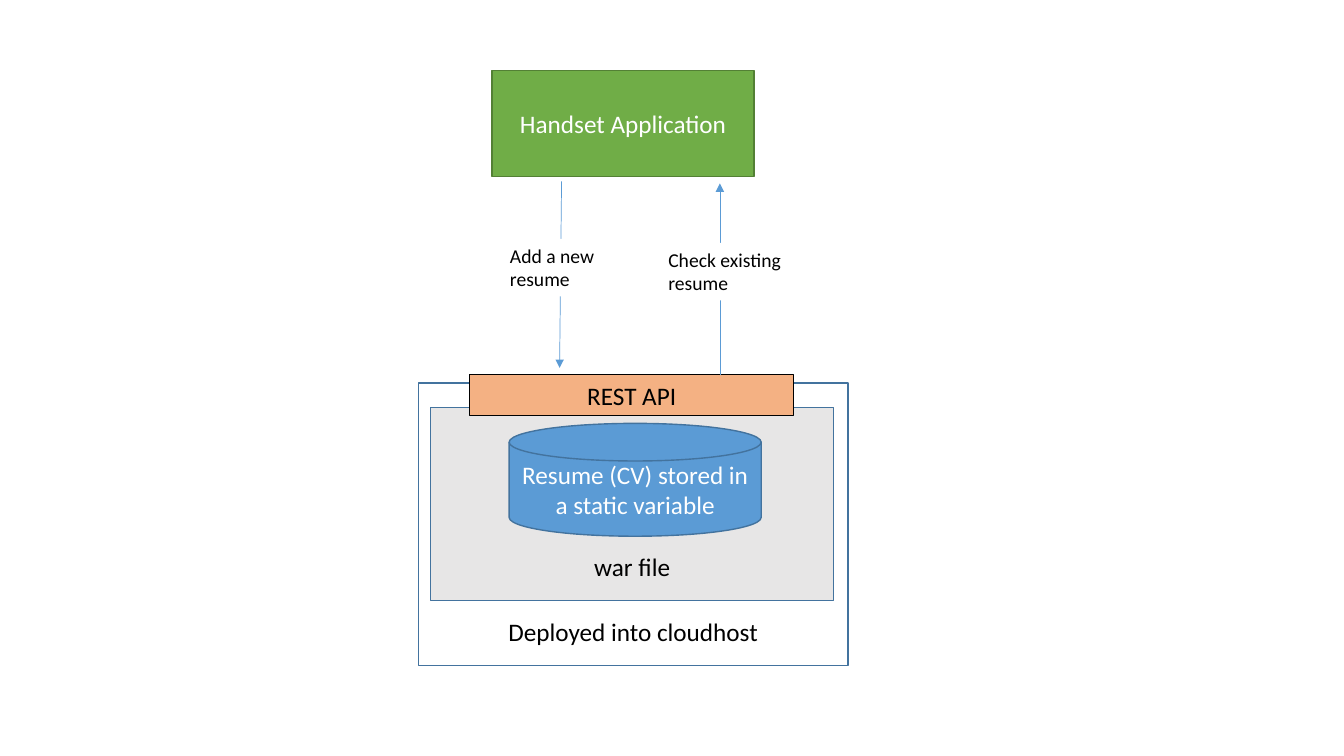
from dataclasses import dataclass

from lxml.etree import SubElement
from pptx import Presentation
from pptx.dml.color import RGBColor
from pptx.enum.shapes import MSO_CONNECTOR as Link, MSO_SHAPE as Shape
from pptx.enum.text import MSO_ANCHOR as Anchor, PP_ALIGN as Align
from pptx.oxml.ns import qn
from pptx.slide import Slide
from pptx.text.text import TextFrame
from pptx.util import Inches, Pt


@dataclass
class Block:
    text: str
    left: float
    top: float
    width: float
    height: float
    fill: str | None = None
    line: str | None = None
    weight: float = 1
    color: str = "000000"
    size: float = 18
    align: Align = Align.CENTER
    anchor: Anchor = Anchor.MIDDLE
    bottom: float = 0.05
    kind: Shape = Shape.RECTANGLE


@dataclass
class Arrow:
    start: tuple[float, float]
    end: tuple[float, float]


BLUE = "5B9BD5"
NAVY = "43739E"

BLOCKS = [
    Block("Deployed into cloudhost", 4.15, 3.8, 4.26, 2.8, line=NAVY,
          anchor=Anchor.BOTTOM, bottom=0.19),
    Block("war file", 4.27, 4.04, 4, 1.92, "E7E6E6", NAVY,
          anchor=Anchor.BOTTOM, bottom=0.19),
    Block("REST API", 4.66, 3.72, 3.21, 0.4, "F4B183", "000000", 0.75,
          anchor=Anchor.TOP),
    Block("Resume (CV) stored in a static variable", 5.05, 4.2, 2.5, 1.12, BLUE, NAVY,
          color="FFFFFF", kind=Shape.FLOWCHART_MAGNETIC_DISK),
    Block("Handset Application", 4.88, 0.7, 2.6, 1.05, "70AD47", "538035",
          color="FFFFFF"),
]
ARROWS = [
    Arrow((5.57, 1.8), (5.55, 3.65)),
    Arrow((7.14, 3.72), (7.14, 1.82)),
]
LABELS = [
    Block(text, left, top, width, 0.57, "FFFFFF", size=14,
          align=Align.LEFT, anchor=Anchor.TOP)
    for text, left, top, width in [
        ("Add a new resume", 4.96, 2.37, 1.3),
        ("Check existing resume", 6.53, 2.41, 1.74),
    ]
]


def rgb(value: str) -> RGBColor:
    return RGBColor.from_string(value)


def write(frame: TextFrame, text: str, *, size: float, color: str, align: Align,
          anchor: Anchor, bottom: float) -> None:
    frame.word_wrap = True
    frame.vertical_anchor = anchor
    frame.margin_bottom = Inches(bottom)
    para = frame.paragraphs[0]
    para.alignment = align
    span = para.add_run()
    span.text = text
    span.font.name = "Calibri"
    span.font.size = Pt(size)
    span.font.color.rgb = rgb(color)


def draw_block(page: Slide, block: Block) -> None:
    box = page.shapes.add_shape(block.kind, Inches(block.left), Inches(block.top),
                                Inches(block.width), Inches(block.height))
    box.shadow.inherit = False
    if block.fill:
        box.fill.solid()
        box.fill.fore_color.rgb = rgb(block.fill)
    else:
        box.fill.background()
    if block.line:
        box.line.color.rgb = rgb(block.line)
        box.line.width = Pt(block.weight)
    else:
        box.line.fill.background()
    write(box.text_frame, block.text, size=block.size, color=block.color,
          align=block.align, anchor=block.anchor, bottom=block.bottom)


def draw_arrow(page: Slide, arrow: Arrow) -> None:
    points = [Inches(value) for value in (*arrow.start, *arrow.end)]
    connector = page.shapes.add_connector(Link.STRAIGHT, *points)
    connector.line.color.rgb = rgb(BLUE)
    connector.line.width = Pt(0.5)
    SubElement(connector.line._get_or_add_ln(), qn("a:tailEnd"), type="triangle")
    SubElement(connector._element.spPr, qn("a:effectLst"))


def main() -> None:
    deck = Presentation()
    deck.slide_width = Inches(13.33)
    deck.slide_height = Inches(7.5)
    page = deck.slides.add_slide(deck.slide_layouts[6])
    for block in BLOCKS:
        draw_block(page, block)
    for arrow in ARROWS:
        draw_arrow(page, arrow)
    for label in LABELS:
        draw_block(page, label)
    deck.save("out.pptx")


if __name__ == "__main__":
    main()
